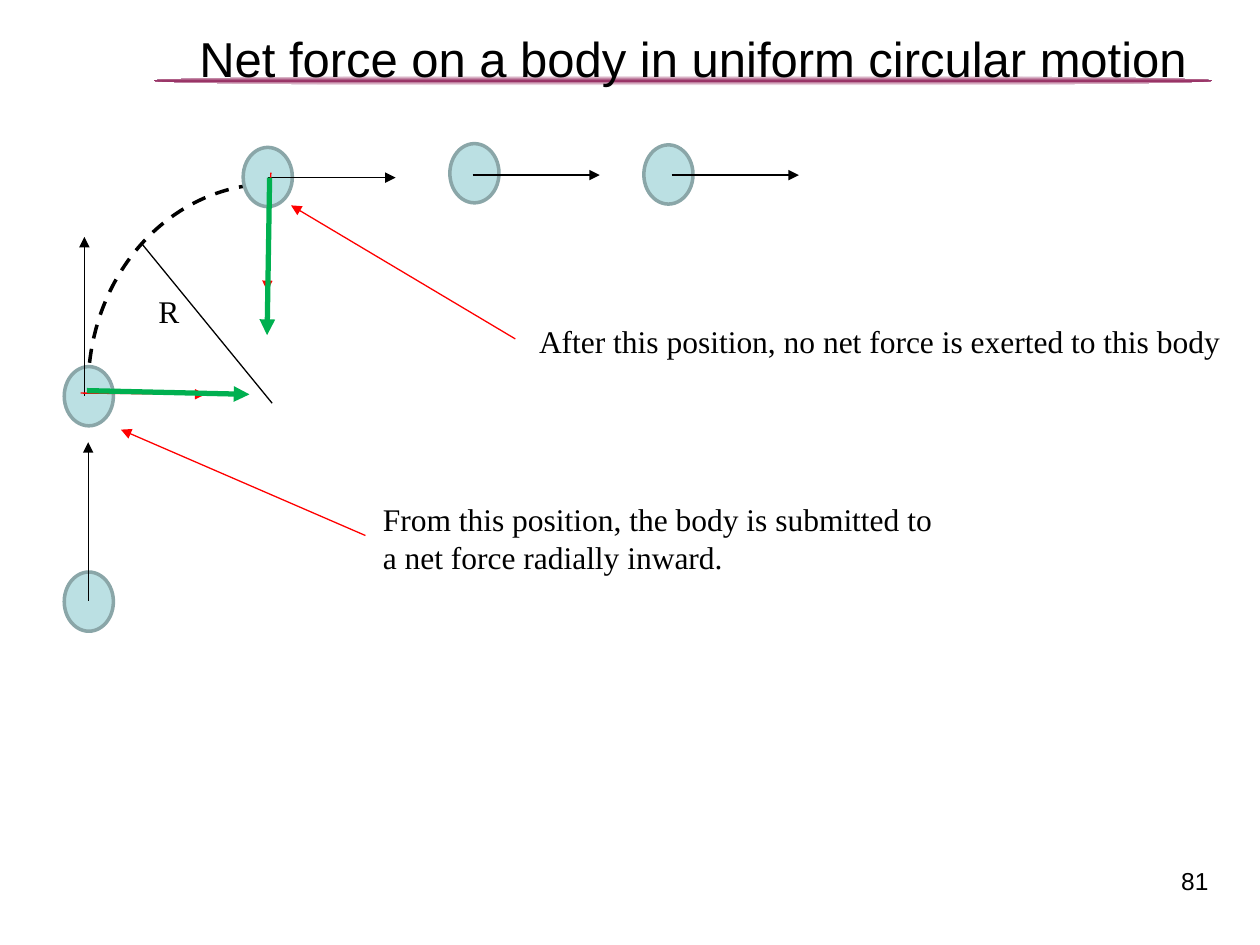
from dataclasses import dataclass

from lxml import etree
from pptx import Presentation
from pptx.dml.color import RGBColor
from pptx.enum.dml import MSO_LINE
from pptx.enum.shapes import MSO_CONNECTOR, MSO_SHAPE
from pptx.enum.text import MSO_ANCHOR, PP_ALIGN
from pptx.oxml import parse_xml
from pptx.oxml.ns import nsdecls, qn
from pptx.util import Inches, Pt

OVAL, RECT = MSO_SHAPE.OVAL, MSO_SHAPE.RECTANGLE
STRAIGHT, DASH = MSO_CONNECTOR.STRAIGHT, MSO_LINE.DASH
LEFT, CENTER, RIGHT = PP_ALIGN.LEFT, PP_ALIGN.CENTER, PP_ALIGN.RIGHT
TOP = MSO_ANCHOR.TOP
COLS, ROWS = 100, 75  # grid of square cells over the whole slide


@dataclass(frozen=True)
class Theme:
    ink: str = "000000"
    paper: str = "FFFFFF"
    rule: str = "993366"
    ball: str = "BBE0E3"
    rim: str = "8AA6A8"
    pull: str = "00B050"
    hint: str = "FF0000"
    sans: str = "Arial"
    serif: str = "Times New Roman"
    head: int = 28
    body: int = 18
    foot: int = 14
    thin: float = 0.75
    edge: float = 2
    bold: float = 3


@dataclass(frozen=True)
class Box:
    """Place and size in grid columns and rows."""
    x: float
    y: float
    w: float
    h: float


@dataclass(frozen=True)
class Ray:
    """Line from (x, y) to (x + dx, y + dy) in grid cells."""
    x: float
    y: float
    dx: float
    dy: float
    color: str
    width: float = Theme.thin
    head: bool = True


@dataclass(frozen=True)
class Label:
    text: str
    box: Box
    font: str = Theme.serif
    size: int = Theme.body
    align: PP_ALIGN = LEFT
    wrap: bool = True


THEME = Theme()
BALL_W, BALL_H = 3.9, 4.7
SPEED_X, SPEED_Y = 10.1, -12.6

RULE = Box(12.2, 6, 84, 0.8)
ORBIT = Box(7, 14.6, 29.1, 32.3)
COVERS = [Box(7.1, 31.3, 18.1, 16.2), Box(21.5, 14.1, 18.1, 33.6)]
TITLE = Label("Net force on a body in uniform circular motion",
              Box(10, 1.3, 90, 12.5), THEME.sans, THEME.head, CENTER)
BALLS = [(19.3, 11.7), (35.7, 11.4), (5.1, 29.1), (51.1, 11.5), (5.1, 45.4)]
RAYS = [
    *(Ray(x, y, SPEED_X, 0, THEME.ink)
      for x, y in [(21.3, 14.1), (37.5, 13.9), (53.3, 13.9)]),
    *(Ray(x, y, 0, SPEED_Y, THEME.ink) for x, y in [(6.7, 31.4), (7, 47.7)]),
    Ray(6.4, 31.2, 9.9, 0.1, THEME.hint),
    Ray(21.5, 13.7, -0.3, 9.4, THEME.hint),
    Ray(21.4, 14.1, -0.2, 12.5, THEME.pull, THEME.bold),
    Ray(6.9, 31, 12.9, 0.3, THEME.pull, THEME.bold),
    Ray(21.6, 32, -10.3, -12.6, THEME.ink, head=False),
    Ray(29, 42.5, -19.4, -8.4, THEME.hint),
    Ray(40.9, 26.9, -17.8, -10.6, THEME.hint),
]
LABELS = [
    Label("R", Box(11.6, 22.7, 3.7, 4)),
    Label("From this position, the body is submitted to a net force radially inward.",
          Box(29.4, 39.2, 46.6, 7.1)),
    Label("After this position, no net force is exerted to this body",
          Box(41.8, 25.1, 57.3, 4), wrap=False),
    Label("81", Box(73.6, 68.2, 23.3, 4.5), THEME.sans, THEME.foot, RIGHT),
]

deck = Presentation()
deck.slide_width, deck.slide_height = Inches(10), Inches(7.5)
slide = deck.slides.add_slide(deck.slide_layouts[5])
shapes = slide.shapes


def col(n: float) -> int:
    return round(deck.slide_width * n / COLS)


def row(n: float) -> int:
    return round(deck.slide_height * n / ROWS)


def span(box: Box) -> tuple[int, int, int, int]:
    return col(box.x), row(box.y), col(box.w), row(box.h)


def rgb(code: str) -> RGBColor:
    return RGBColor.from_string(code)


def draw(kind: MSO_SHAPE, box: Box, fill: str | None, line: str | None):
    shape = shapes.add_shape(kind, *span(box))
    shape.shadow.inherit = False
    if fill:
        shape.fill.solid()
        shape.fill.fore_color.rgb = rgb(fill)
    else:
        shape.fill.background()
    if line:
        shape.line.color.rgb = rgb(line)
        shape.line.width = Pt(THEME.edge)
    else:
        shape.line.fill.background()
    return shape


def fade(shape, edge: str, core: str) -> None:
    """Fill top to bottom with a band of the core colour."""
    stops = "".join(f'<a:gs pos="{pos}"><a:srgbClr val="{code}"/></a:gs>'
                    for pos, code in [(0, edge), (50000, core), (100000, edge)])
    props = shape._element.spPr
    props.replace(props.find(qn("a:noFill")), parse_xml(
        f'<a:gradFill {nsdecls("a")}><a:gsLst>{stops}</a:gsLst>'
        '<a:lin ang="5400000" scaled="0"/></a:gradFill>'))


def trace(ray: Ray) -> None:
    link = shapes.add_connector(STRAIGHT, col(ray.x), row(ray.y),
                                col(ray.x + ray.dx), row(ray.y + ray.dy))
    link.line.color.rgb = rgb(ray.color)
    link.line.width = Pt(ray.width)
    if ray.head:
        etree.SubElement(link.line._get_or_add_ln(), qn("a:tailEnd"), type="triangle")
    etree.SubElement(link._element.spPr, qn("a:effectLst"))


def write(shape, label: Label) -> None:
    frame = shape.text_frame
    frame.text = label.text
    frame.word_wrap = label.wrap
    frame.vertical_anchor = TOP
    para = frame.paragraphs[0]
    para.alignment = label.align
    font = para.runs[0].font
    font.name, font.size = label.font, Pt(label.size)
    font.color.rgb = rgb(THEME.ink)


def main() -> None:
    fade(draw(OVAL, RULE, None, None), THEME.paper, THEME.rule)
    draw(OVAL, ORBIT, None, THEME.ink).line.dash_style = DASH
    for box in COVERS:
        draw(RECT, box, THEME.paper, THEME.paper)

    title = shapes.title
    title.left, title.top, title.width, title.height = span(TITLE.box)
    write(title, TITLE)
    title.text_frame.margin_top = Inches(0.1)
    shapes._spTree.append(title._element)  # in front of the rule and covers

    for x, y in BALLS:
        draw(OVAL, Box(x, y, BALL_W, BALL_H), THEME.ball, THEME.rim)
    for ray in RAYS:
        trace(ray)
    for label in LABELS:
        write(shapes.add_textbox(*span(label.box)), label)
    deck.save("out.pptx")


if __name__ == "__main__":
    main()
